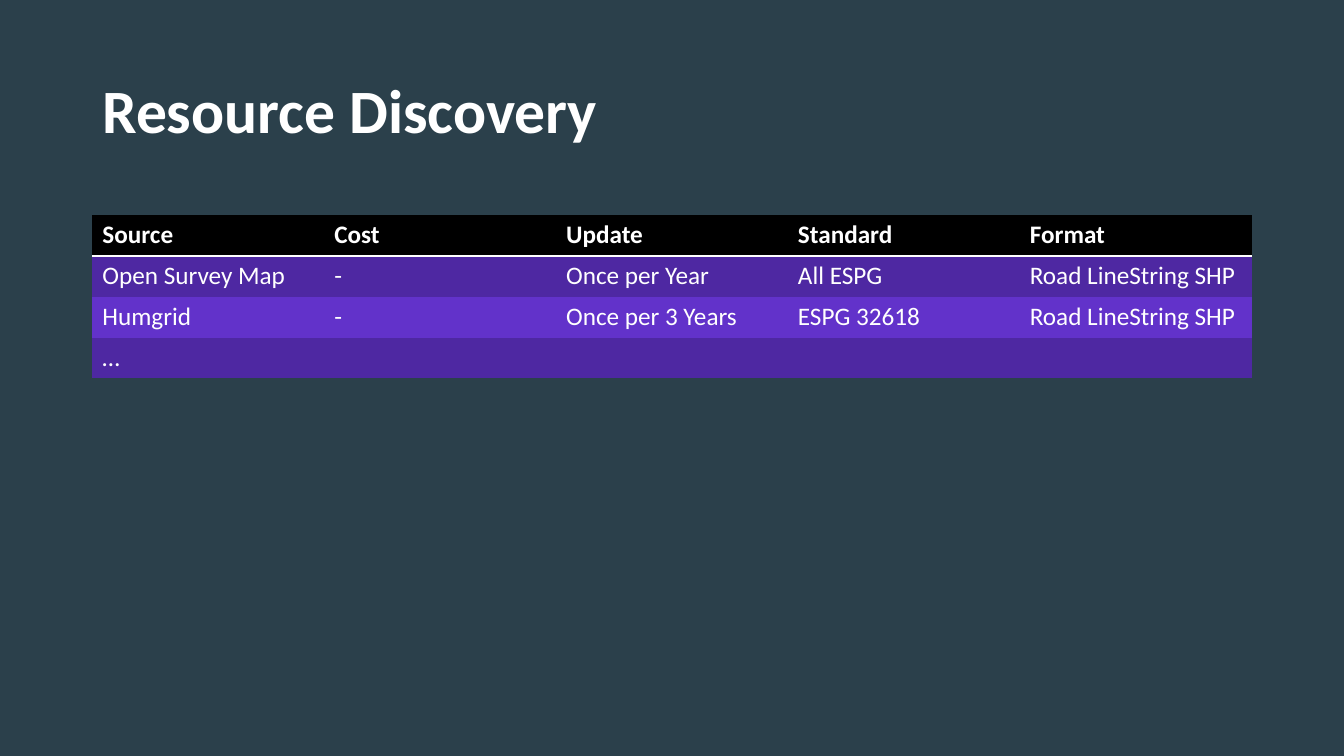
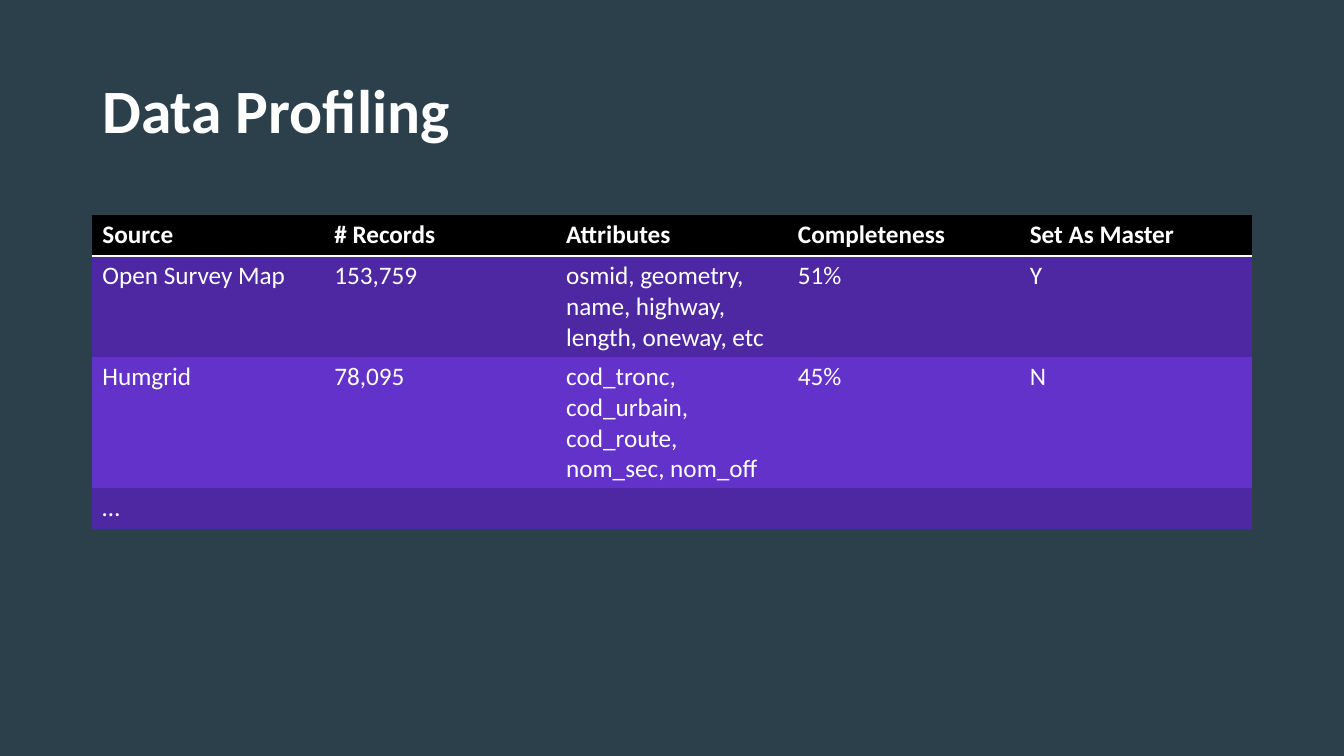
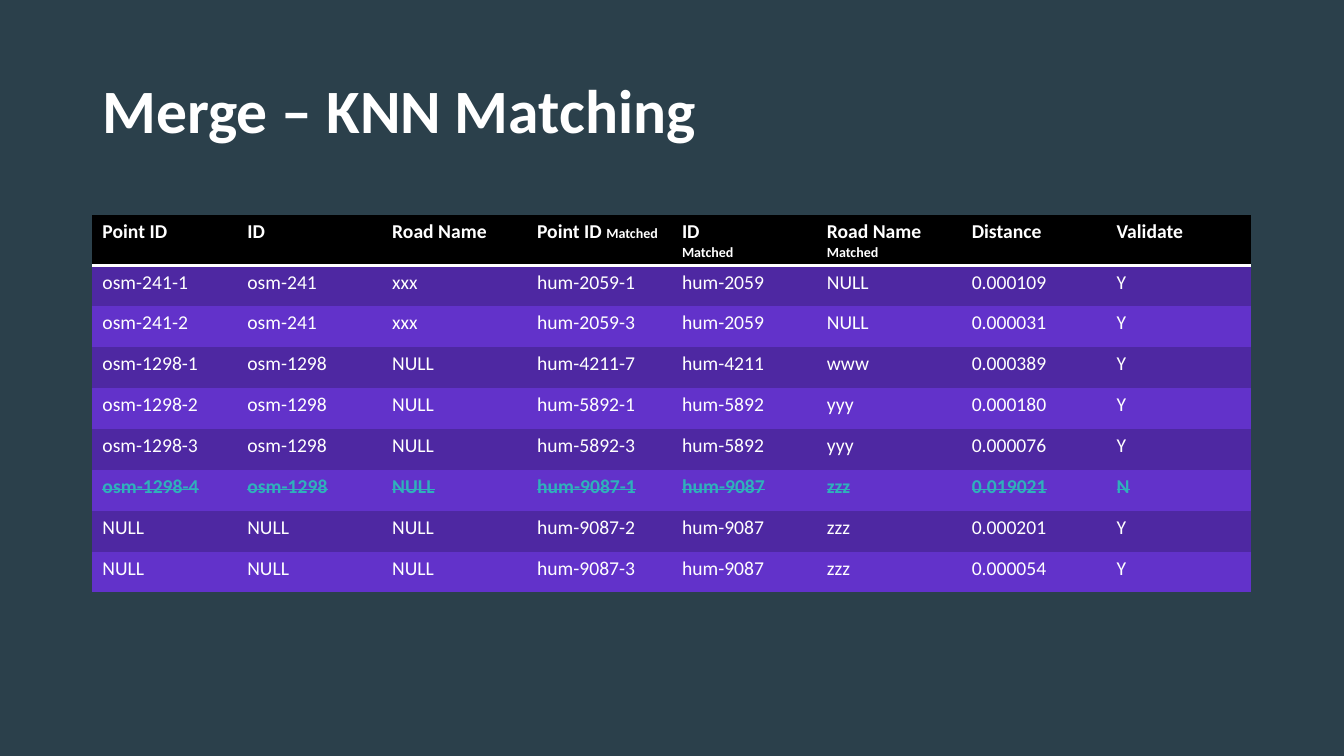
from dataclasses import dataclass

import lxml.etree
import pptx
import pptx.dml.color
import pptx.enum.text
import pptx.oxml.ns
import pptx.util

Pt = pptx.util.Pt
qn = pptx.oxml.ns.qn

# Shared look
FONT = "Calibri"
BACKGROUND = "2B404B"
WHITE = "FFFFFF"
HEADER = "000000"
BANDS = ("4E28A2", "6232CA")
REJECTED = "2FB1BB"
NO_TABLE_STYLE = "{2D5ABB26-0587-4C30-8999-92F81FD0307C}"
LEFT, WIDTH = 66, 828
TITLE_TOP, TITLE_HEIGHT = 28.75, 104.4
TABLE_TOP, ROW_HEIGHT = 153.5, 29.2
NOTE_SIZE = 10


@dataclass
class TableSlide:
    """In a cell, text after "|" is a small note and a newline starts a paragraph."""
    title: str
    size: int
    rows: list[tuple[str, ...]]
    rejected_row: int | None = None


SLIDES = [
    TableSlide("Resource Discovery", 18, [
        ("Source", "Cost", "Update", "Standard", "Format"),
        ("Open Survey Map", "-", "Once per Year", "All ESPG", "Road LineString SHP"),
        ("Humgrid", "-", "Once per 3 Years", "ESPG 32618", "Road LineString SHP"),
        ("…", "", "", "", ""),
    ]),
    TableSlide("Data Profiling", 18, [
        ("Source", "# Records", "Attributes", "Completeness", "Set As Master"),
        ("Open Survey Map", "153,759",
         "osmid, geometry, name, highway, length, oneway, etc", "51%", "Y"),
        ("Humgrid", "78,095",
         "cod_tronc, cod_urbain, cod_route, nom_sec, nom_off", "45%", "N"),
        ("…", "", "", "", ""),
    ]),
    TableSlide("Merge – KNN Matching", 14, [
        ("Point ID", "ID", "Road Name", "Point ID |Matched", "ID\n|Matched",
         "Road Name |Matched", "Distance", "Validate"),
        ("osm-241-1", "osm-241", "xxx", "hum-2059-1", "hum-2059", "NULL", "0.000109", "Y"),
        ("osm-241-2", "osm-241", "xxx", "hum-2059-3", "hum-2059", "NULL", "0.000031", "Y"),
        ("osm-1298-1", "osm-1298", "NULL", "hum-4211-7", "hum-4211", "www", "0.000389", "Y"),
        ("osm-1298-2", "osm-1298", "NULL", "hum-5892-1", "hum-5892", "yyy", "0.000180", "Y"),
        ("osm-1298-3", "osm-1298", "NULL", "hum-5892-3", "hum-5892", "yyy", "0.000076", "Y"),
        ("osm-1298-4", "osm-1298", "NULL", "hum-9087-1", "hum-9087", "zzz", "0.019021", "N"),
        ("NULL", "NULL", "NULL", "hum-9087-2", "hum-9087", "zzz", "0.000201", "Y"),
        ("NULL", "NULL", "NULL", "hum-9087-3", "hum-9087", "zzz", "0.000054", "Y"),
    ], rejected_row=6),
]


def paint(fmt, color: str) -> None:
    """Give a fill one solid colour."""
    fmt.solid()
    fmt.fore_color.rgb = pptx.dml.color.RGBColor.from_string(color)


def style(font, size: float, bold: bool, color: str = WHITE) -> None:
    font.name, font.size, font.bold = FONT, Pt(size), bold
    paint(font.fill, color)


def add_title(s, text: str) -> None:
    sp = s.shapes.add_textbox(Pt(LEFT), Pt(TITLE_TOP), Pt(WIDTH), Pt(TITLE_HEIGHT))
    tf = sp.text_frame
    tf.word_wrap = True
    tf.vertical_anchor = pptx.enum.text.MSO_ANCHOR.MIDDLE
    p = tf.paragraphs[0]
    p.text = text
    p.line_spacing = 0.9
    style(p.font, 44, True)


def underline_cell(cell) -> None:
    """Draw a white bottom border."""
    ln = lxml.etree.Element(qn("a:lnB"), w=str(Pt(2)))
    fill = lxml.etree.SubElement(ln, qn("a:solidFill"))
    lxml.etree.SubElement(fill, qn("a:srgbClr"), val=WHITE)
    cell._tc.get_or_add_tcPr().insert(0, ln)


def write_cell(cell, text: str, size: float, header: bool, rejected: bool) -> None:
    tf = cell.text_frame
    for i, line in enumerate(text.split("\n")):
        p = tf.add_paragraph() if i else tf.paragraphs[0]
        style(p.font, size, header or rejected, REJECTED if rejected else WHITE)
        main, _, note = line.partition("|")
        for part in filter(None, (main, note)):
            r = p.add_run()
            r.text = part
            if part is note:
                r.font.size = Pt(NOTE_SIZE)
            if rejected:
                r._r.get_or_add_rPr().set("strike", "sngStrike")


def add_table(s, spec: TableSlide) -> None:
    n_rows, n_cols = len(spec.rows), len(spec.rows[0])
    table = s.shapes.add_table(n_rows, n_cols, Pt(LEFT), Pt(TABLE_TOP),
                               Pt(WIDTH), Pt(ROW_HEIGHT * n_rows)).table
    table.first_row = table.horz_banding = False
    table._tbl.tblPr.find(qn("a:tableStyleId")).text = NO_TABLE_STYLE
    for i, row in enumerate(spec.rows):
        for j, text in enumerate(row):
            cell = table.cell(i, j)
            paint(cell.fill, BANDS[(i - 1) % 2] if i else HEADER)
            write_cell(cell, text, spec.size, i == 0, i == spec.rejected_row)
            if i == 0:
                underline_cell(cell)


def main() -> None:
    prs = pptx.Presentation()
    prs.slide_width, prs.slide_height = Pt(960), Pt(540)
    paint(prs.slide_master.background.fill, BACKGROUND)
    for spec in SLIDES:
        s = prs.slides.add_slide(prs.slide_layouts[6])
        add_title(s, spec.title)
        add_table(s, spec)
    prs.save("out.pptx")


if __name__ == "__main__":
    main()
